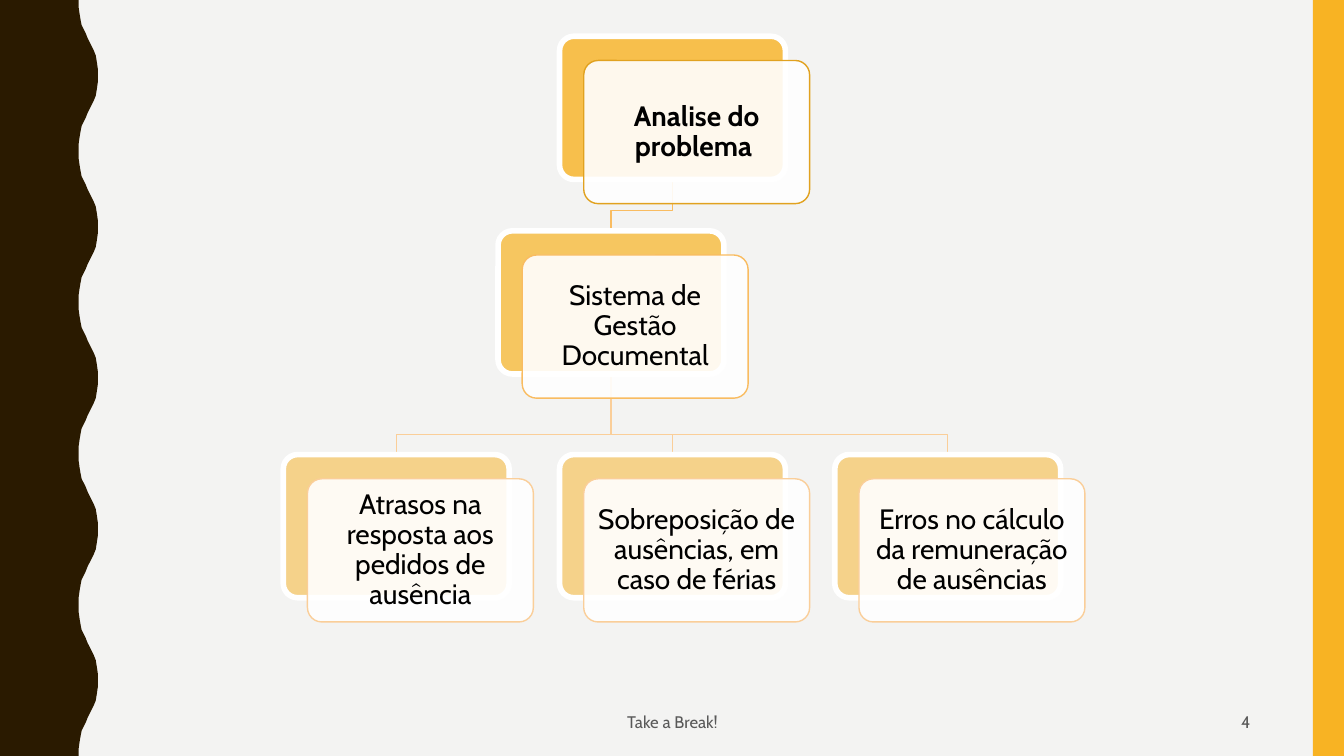
from lxml.etree import SubElement
from pptx import Presentation
from pptx.dml.color import RGBColor
from pptx.enum.shapes import MSO_SHAPE
from pptx.enum.text import MSO_ANCHOR, PP_ALIGN
from pptx.oxml.ns import qn
from pptx.util import Inches, Pt

# Content: key, parent, left, level, text
NODES = [
    ("root", None, 5.55, 0, "Analise do problema "),
    ("system", "root", 4.94, 1, "Sistema de Gestão Documental"),
    ("delay", "system", 2.81, 2, "Atrasos na resposta aos pedidos de ausência"),
    ("clash", "system", 5.55, 2, "Sobreposição de ausências, em caso de férias"),
    ("error", "system", 8.28, 2, "Erros no cálculo da remuneração de ausências"),
]
# Label: left, width, alignment, text
LABELS = [
    (4.42, 4.5, PP_ALIGN.CENTER, "Take a Break!"),
    (9.42, 3.08, PP_ALIGN.RIGHT, "4"),
]
COLORS = {"back": "F3F3F2", "wave": "2A1A00", "gold": "F8B323",
          "white": "FFFFFF", "text": "000000", "muted": "595959"}
# Level: top, opacity of the back card, edge of the front card, link color
LEVELS = [
    (0.36, 80, "E1A220", None),
    (2.29, 70, "F9BC61", "F9BC61"),
    (4.51, 50, "FACE99", "FACE99"),
]
FONT = "Cabin"
CARD_W, CARD_H, SHIFT, BEND = 2.24, 1.42, 0.24, 0.2
# Half a wave from trough to crest: x, y
RISE = [(0.78, 0), (0.78, 0.07), (0.79, 0.14), (0.8, 0.2), (0.81, 0.25),
        (0.83, 0.29), (0.85, 0.33), (0.87, 0.38), (0.89, 0.42), (0.91, 0.46),
        (0.93, 0.5), (0.95, 0.55), (0.96, 0.61), (0.97, 0.68), (0.97, 0.75)]
PERIOD, WAVES = 1.5, 5

deck = Presentation()
deck.slide_width, deck.slide_height = Inches(13.33), Inches(7.5)
slide = deck.slides.add_slide(deck.slide_layouts[6])
shapes = slide.shapes


def color(name):
    return RGBColor.from_string(COLORS.get(name, name))


def paint(shape, fill=None, alpha=100, line=None, width=1):
    shape.shadow.inherit = False
    if fill:
        shape.fill.solid()
        shape.fill.fore_color.rgb = color(fill)
        if alpha < 100:
            tint = shape.element.spPr.find(qn("a:solidFill"))[0]
            SubElement(tint, qn("a:alpha"), val=str(alpha * 1000))
    else:
        shape.fill.background()
    if line:
        shape.line.color.rgb = color(line)
        shape.line.width = Pt(width)
    else:
        shape.line.fill.background()


def outline(points, close):
    spots = [(Inches(x), Inches(y)) for x, y in points]
    form = shapes.build_freeform(*spots[0], scale=1.0)
    form.add_line_segments(spots[1:], close=close)
    return form.convert_to_shape()


def write(shape, text, size, tone, align, bold=False):
    frame = shape.text_frame
    frame.word_wrap = True
    frame.vertical_anchor = MSO_ANCHOR.MIDDLE
    frame.text = text
    para = frame.paragraphs[0]
    para.alignment = align
    font = para.runs[0].font
    font.name, font.size, font.bold = FONT, Pt(size), bold
    font.color.rgb = color(tone)
    return frame


def card(left, top):
    shape = shapes.add_shape(MSO_SHAPE.ROUNDED_RECTANGLE, Inches(left),
                             Inches(top), Inches(CARD_W), Inches(CARD_H))
    shape.adjustments[0] = 0.1
    return shape


# Background, wavy edge and side bar
slide.background.fill.solid()
slide.background.fill.fore_color.rgb = color("back")
fall = [(x, PERIOD - y) for x, y in reversed(RISE[:-1])]
wave = [(x, y + i * PERIOD) for i in range(WAVES) for x, y in RISE + fall]
paint(outline([(0, 0)] + wave + [(0, 7.5)], True), "wave")
bar = shapes.add_shape(MSO_SHAPE.RECTANGLE, Inches(13.02), 0,
                       Inches(0.31), Inches(7.5))
paint(bar, "gold")

# Footer and slide number
for left, width, align, text in LABELS:
    box = shapes.add_textbox(Inches(left), Inches(6.97),
                             Inches(width), Inches(0.38))
    write(box, text, 12, "muted", align)

# Links from each parent to its children
spots = {key: (left, LEVELS[level][0]) for key, _, left, level, _ in NODES}
for key, parent, left, level, _ in reversed(NODES):
    if parent:
        top, _, _, tone = LEVELS[level]
        start, end = spots[parent][0] + CARD_W / 2, left + CARD_W / 2
        base, turn = spots[parent][1] + CARD_H, top - BEND
        link = outline([(start, base), (start, turn), (end, turn), (end, top)],
                       False)
        paint(link, line=tone)

# Cards
for key, parent, left, level, text in NODES:
    top, alpha, edge, _ = LEVELS[level]
    paint(card(left, top), "gold", alpha, "white", 4)
    front = card(left + SHIFT, top + SHIFT)
    paint(front, "white", 90, edge)
    frame = write(front, text, 20, "text", PP_ALIGN.CENTER, parent is None)
    frame.margin_left = frame.margin_right = Inches(0.08)
    frame.margin_top = frame.margin_bottom = Inches(0.08)
    frame.paragraphs[0].line_spacing = 0.9

deck.save("out.pptx")
